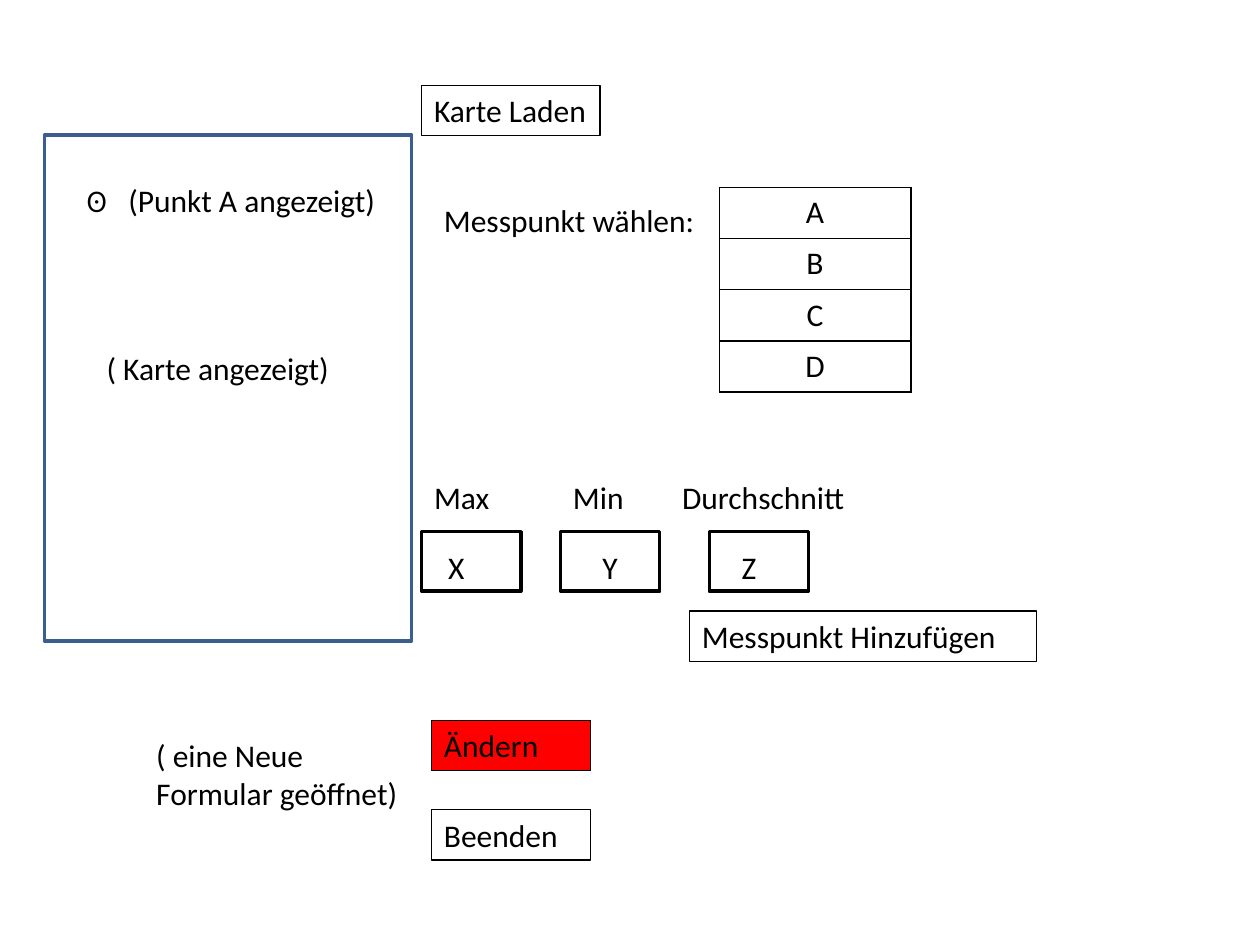
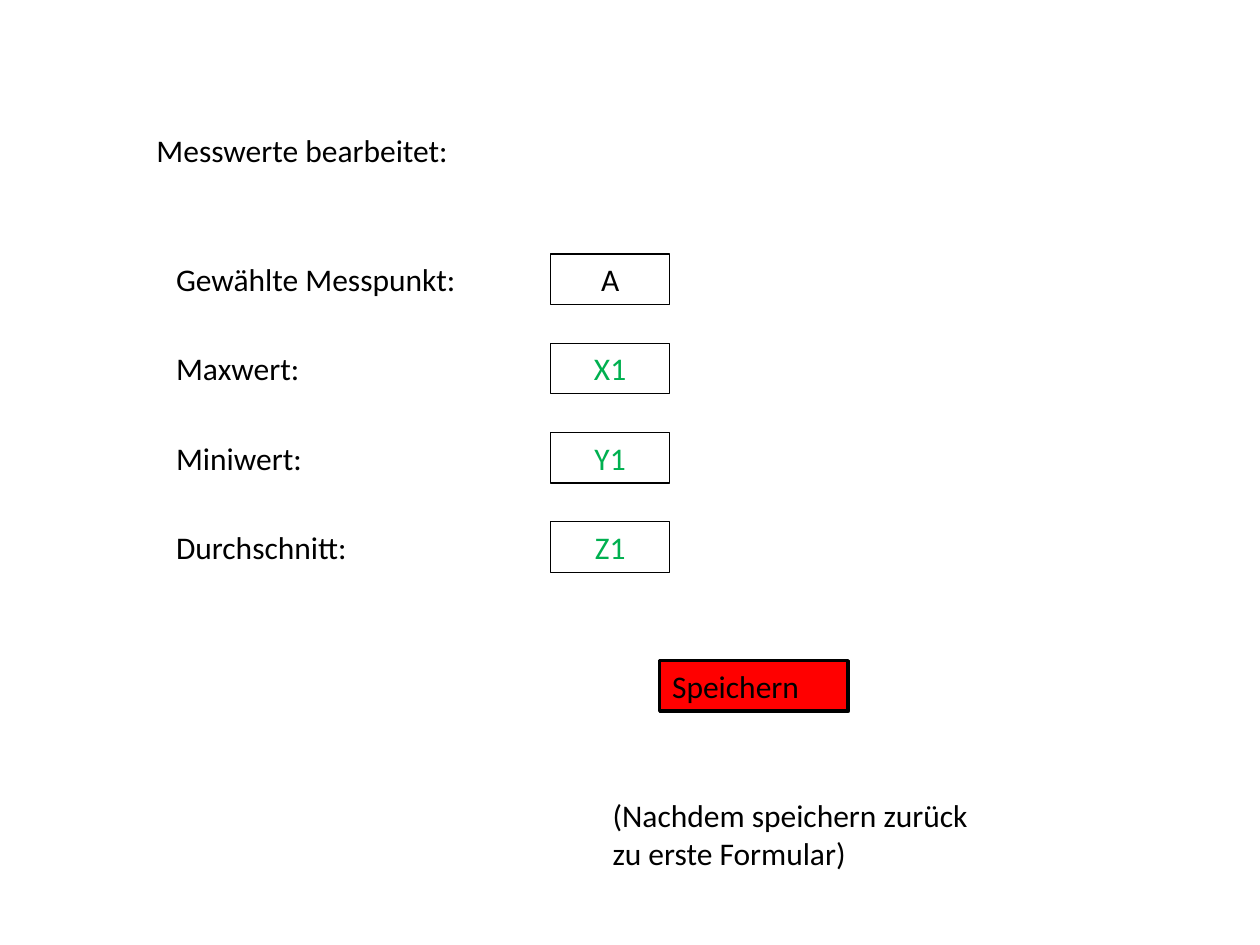
from lxml import etree
from pptx import Presentation
from pptx.dml.color import RGBColor
from pptx.enum.shapes import MSO_SHAPE
from pptx.enum.text import MSO_ANCHOR, MSO_AUTO_SIZE, PP_ALIGN
from pptx.oxml import parse_xml
from pptx.oxml.ns import nsdecls, qn
from pptx.util import Cm, Inches, Pt

RECTANGLE = MSO_SHAPE.RECTANGLE
LEFT, CENTER = PP_ALIGN.LEFT, PP_ALIGN.CENTER
TOP, NO_AUTOFIT = MSO_ANCHOR.TOP, MSO_AUTO_SIZE.NONE
BLANK_LAYOUT, TITLE_LAYOUT = 6, 5

COLORS = {
    "ink": "000000",
    "paper": "FFFFFF",
    "map": "3A5F8C",
    "action": "FF0000",
    "changed": "00B050",
}
FONT = {"name": "Calibri", "size": Pt(18), "bold": False}
FRAME = {"word_wrap": True, "vertical_anchor": TOP, "auto_size": NO_AUTOFIT}
UNIT = Cm(0.2)
ORIGIN_COLUMN, ORIGIN_ROW = 0.5, 0.6
TEXT_ROWS = 5.1
THIN, THICK = 0.75, 2


def color(key):
    return RGBColor.from_string(COLORS[key])


def assign(target, values):
    for name, value in values.items():
        setattr(target, name, value)


class FormPage:
    """Draws form elements on one slide, placed by grid column and row."""

    def __init__(self, deck, layout):
        self.page = deck.slides.add_slide(deck.slide_layouts[layout])
        self.shapes = self.page.shapes

    def area(self, column, row, columns, rows):
        return [
            round(UNIT * steps)
            for steps in (column + ORIGIN_COLUMN, row + ORIGIN_ROW, columns, rows)
        ]

    def add_text(self, frame, text, ink="ink", align=LEFT):
        para = frame.paragraphs[0]
        para.alignment = align
        span = para.add_run()
        span.text = text
        assign(span.font, FONT)
        span.font.color.rgb = color(ink)
        return para

    def title(self, text, column, row, columns):
        box = self.shapes.title
        area = self.area(column, row, columns, TEXT_ROWS)
        assign(box, dict(zip(("left", "top", "width", "height"), area)))
        assign(box.text_frame, FRAME)
        self.add_text(box.text_frame, text)

    def label(self, text, column, row, columns, rows=TEXT_ROWS, align=LEFT):
        box = self.shapes.add_textbox(*self.area(column, row, columns, rows))
        assign(box.text_frame, FRAME)
        return self.add_text(box.text_frame, text, align=align)

    def panel(self, column, row, columns, rows, fill="paper", line="ink", weight=THICK):
        box = self.shapes.add_shape(RECTANGLE, *self.area(column, row, columns, rows))
        box.shadow.inherit = False
        if fill:
            box.fill.solid()
            box.fill.fore_color.rgb = color(fill)
        else:
            box.fill.background()
        box.line.color.rgb = color(line)
        box.line.width = Pt(weight)
        return box

    def field(self, text, column, row, columns, fill=None, weight=THIN, ink="ink", align=LEFT):
        box = self.panel(column, row, columns, TEXT_ROWS, fill, weight=weight)
        assign(box.text_frame, FRAME)
        self.add_text(box.text_frame, text, ink, align)

    def choices(self, names, column, row, columns):
        area = self.area(column, row, columns, TEXT_ROWS * len(names))
        table = self.shapes.add_table(len(names), 1, *area).table
        assign(table, {"first_row": False, "horz_banding": False})
        for index, name in enumerate(names):
            cell = table.cell(index, 0)
            cell.fill.solid()
            cell.fill.fore_color.rgb = color("paper")
            self.add_text(cell.text_frame, name, align=CENTER)
            self.outline(cell)

    def outline(self, cell):
        properties = cell._tc.get_or_add_tcPr()
        for index, side in enumerate(("lnL", "lnR", "lnT", "lnB")):
            properties.insert(index, parse_xml(
                f'<a:{side} {nsdecls("a")} w="{Pt(1)}"><a:solidFill>'
                f'<a:srgbClr val="{COLORS["ink"]}"/></a:solidFill></a:{side}>'
            ))

    def tab_stop(self, para, position):
        stops = etree.SubElement(para._p.get_or_add_pPr(), qn("a:tabLst"))
        etree.SubElement(stops, qn("a:tab"), pos=str(position), algn="l")

    def text_shadow(self, para):
        fill = para.runs[0].font._element.find(qn("a:solidFill"))
        fill.addnext(parse_xml(
            f'<a:effectLst {nsdecls("a")}>'
            f'<a:outerShdw blurRad="{Pt(4)}" dist="{Pt(3)}" dir="5400000" algn="t" rotWithShape="0">'
            f'<a:srgbClr val="{COLORS["ink"]}"><a:alpha val="40000"/></a:srgbClr>'
            '</a:outerShdw></a:effectLst>'
        ))


def build_overview(deck):
    form = FormPage(deck, BLANK_LAYOUT)
    form.panel(4, 13, 37, 51, line="map")
    form.field("Karte Laden", 42, 8, 18)

    for heading, column, columns in (("Max", 42, 18), ("Min", 56, 15), ("Durchschnitt", 67, 20)):
        form.label(heading, column, 47, columns)
    for column in (42, 56, 71):
        form.panel(column, 53, 10, 6)
    form.field("Messpunkt Hinzufügen", 69, 61, 35)

    form.label("( Karte angezeigt)", 9, 34, 26)
    point = form.label("ʘ\t(Punkt A angezeigt)", 7, 17, 33)
    form.tab_stop(point, Inches(0.33))
    for value, column, columns, align in (
        ("X", 42, 7, CENTER), ("Y", 57, 8, CENTER), ("Z", 73, 6, LEFT),
    ):
        form.label(value, column, 54, columns, align=align)

    form.text_shadow(form.label("Messpunkt wählen:", 43, 19, 29))
    form.choices("ABCD", 72, 18.3, 19.3)
    form.label("( eine Neue Formular geöffnet)", 14, 73, 28, 9)
    form.field("Ändern", 43, 72, 16, "action")
    form.field("Beenden", 43, 81, 16)


def build_editor(deck):
    form = FormPage(deck, TITLE_LAYOUT)
    form.title("Messwerte bearbeitet:", 14, 12, 34)
    entries = (
        ("Gewählte Messpunkt:", "A", "ink"),
        ("Maxwert:", "X1", "changed"),
        ("Miniwert:", "Y1", "changed"),
        ("Durchschnitt:", "Z1", "changed"),
    )
    for index, (name, value, ink) in enumerate(entries):
        row = 25 + 9 * index
        form.label(name, 16, row, 31)
        form.field(value, 55, row, 12, ink=ink, align=CENTER)
    form.field("Speichern", 66, 66, 19, "action", THICK)
    form.label("(Nachdem speichern zurück zu erste Formular)", 60, 79, 41, 9)


def main():
    deck = Presentation()
    assign(deck, {"slide_width": Inches(10), "slide_height": Inches(7.5)})
    build_overview(deck)
    build_editor(deck)
    deck.save("out.pptx")


if __name__ == "__main__":
    main()
